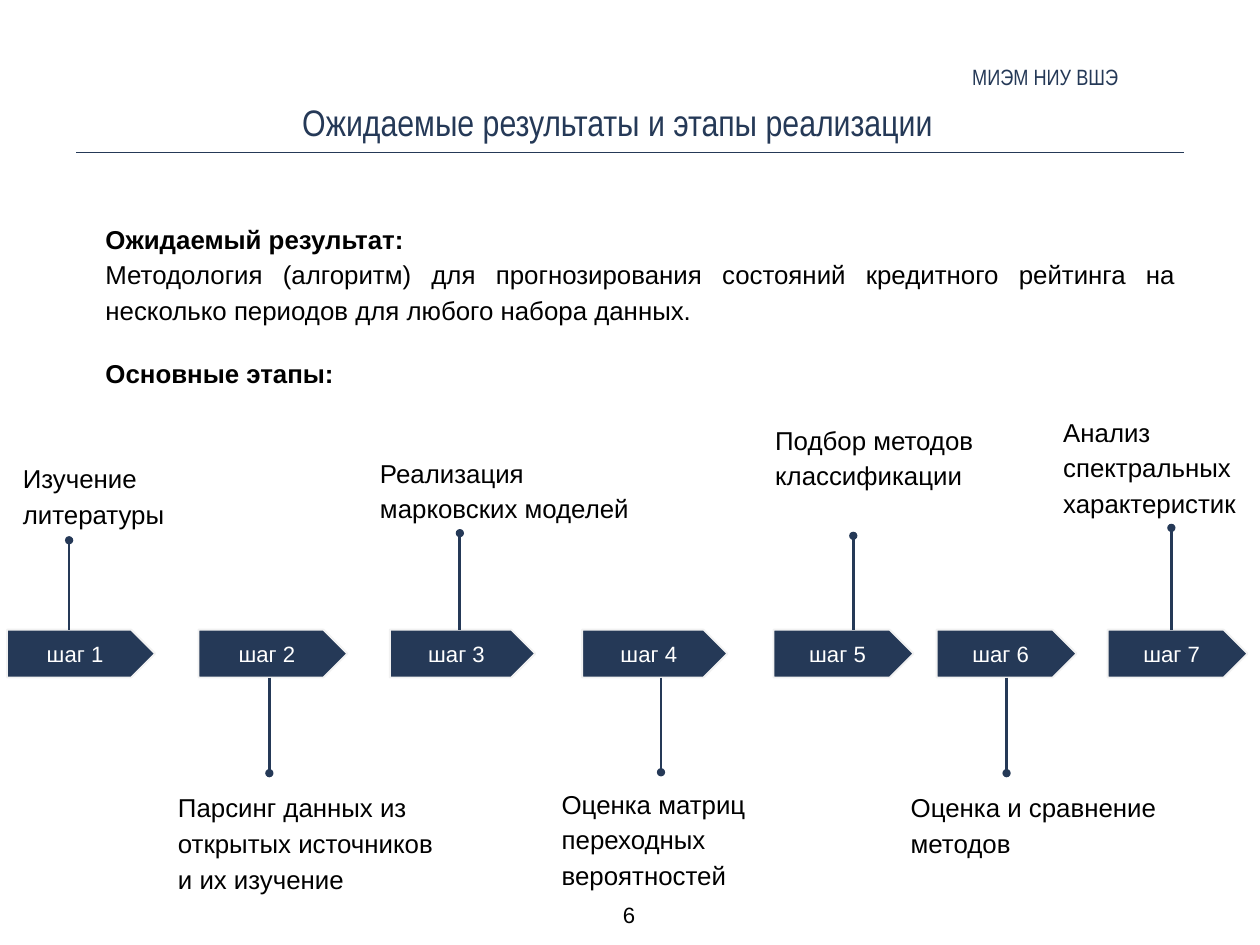
from lxml import etree
from pptx import Presentation
from pptx import util as u
from pptx.dml.color import RGBColor
from pptx.enum import shapes, text
from pptx.oxml import ns

COLORS = {"navy": "253957", "black": "000000", "white": "FFFFFF", "edge": "F2F2F2"}
TOP, HIGH = 7.11, 0.54
ALIGN, ANCHOR = text.PP_ALIGN, text.MSO_ANCHOR

# arrow left, arrow width, stem x, dot y, label (left, top, width, height), label
STEPS = [
    (0.08, 1.67, 0.78, 6.1, (0.16, 5.07, 2.67, 1.01), "Изучение литературы"),
    (2.24, 1.68, 3.04, 8.73, (1.91, 8.79, 3.28, 1.42),
     "Парсинг данных из открытых источников и их изучение"),
    (4.4, 1.64, 5.19, 6.02, (4.19, 5.01, 3.28, 1.01), "Реализация марковских моделей"),
    (6.57, 1.64, 7.46, 8.72, (6.24, 8.75, 3.28, 1.42),
     "Оценка матриц переходных вероятностей"),
    (8.73, 1.58, 9.63, 6.05, (8.65, 4.64, 3.06, 1.01), "Подбор методов классификации"),
    (10.57, 1.58, 11.36, 8.73, (10.18, 8.79, 3.28, 0.96), "Оценка и сравнение методов"),
    (12.5, 1.58, 13.22, 5.96, (11.9, 4.55, 2.32, 1.29),
     "Анализ спектральных характеристик"),
]


def color(name):
    return RGBColor.from_string(COLORS[name])


def place(item, box):
    item.left, item.top, item.width, item.height = map(u.Inches, box)


def write(item, words, size, tint="black", face="Arial", align=ALIGN.LEFT,
          anchor=ANCHOR.TOP, inset=0.1, space=1.0):
    frame = item.text_frame
    frame.text = words
    frame.word_wrap = True
    frame.auto_size = text.MSO_AUTO_SIZE.NONE
    frame.vertical_anchor = anchor
    frame.margin_left = frame.margin_right = u.Inches(inset)
    frame.margin_top = frame.margin_bottom = u.Inches(inset)
    for line in frame.paragraphs:
        line.alignment = align
        line.line_spacing = space
        line.space_before = u.Pt(0)
        for run in line.runs:
            run.font.size = u.Pt(size)
            run.font.name = face
            run.font.color.rgb = color(tint)


def add_text(slide, box, words, size, **style):
    item = slide.shapes.add_textbox(*map(u.Inches, box))
    write(item, words, size, **style)


def add_line(slide, start, end, width, dot=False):
    line = slide.shapes.add_connector(
        shapes.MSO_CONNECTOR.STRAIGHT, *map(u.Inches, start + end))
    line.line.color.rgb = color("navy")
    line.line.width = u.Pt(width)
    if dot:
        etree.SubElement(line.line._get_or_add_ln(), ns.qn("a:tailEnd"), type="oval")
    etree.SubElement(line._element.spPr, ns.qn("a:effectLst"))


def add_arrow(slide, left, width, words):
    arrow = slide.shapes.add_shape(
        shapes.MSO_SHAPE.PENTAGON, *map(u.Inches, (left, TOP, width, HIGH)))
    arrow.shadow.inherit = False
    arrow.fill.solid()
    arrow.fill.fore_color.rgb = color("navy")
    arrow.line.color.rgb = color("edge")
    arrow.line.width = u.Pt(1.5)
    write(arrow, words, 18, tint="white", align=ALIGN.CENTER, anchor=ANCHOR.MIDDLE)


def fill_body(body):
    place(body, (0.59, 2.37, 12.77, 2.03))
    write(body, "Ожидаемый результат:\n"
          "Методология (алгоритм) для прогнозирования состояний кредитного рейтинга "
          "на несколько периодов для любого набора данных.\n"
          "Основные этапы:", 21, align=ALIGN.JUSTIFY, space=1.15)
    lines = body.text_frame.paragraphs
    for line in lines:
        props = line._p.get_or_add_pPr()
        props.set("marL", str(u.Inches(0.5)))
        props.set("indent", "0")
        etree.SubElement(props, ns.qn("a:buNone"))
    for head in (lines[0], lines[2]):
        head.runs[0].font.bold = True
    lines[2].space_before = u.Pt(22)


def main():
    """Build the slide of expected results and project steps."""
    deck = Presentation()
    deck.slide_width, deck.slide_height = u.Inches(14.22), u.Inches(10.67)
    slide = deck.slides.add_slide(deck.slide_layouts[1])
    title, body = slide.placeholders
    place(title, (0.72, 1.07, 12.5, 0.75))
    write(title, "Ожидаемые результаты и этапы реализации", 30, tint="navy",
          face="Arial Narrow", align=ALIGN.CENTER, inset=0.06)
    fill_body(body)
    add_line(slide, (0.86, 1.72), (13.36, 1.72), 1)
    add_text(slide, (3.12, 0.66, 9.56, 0.42), "МИЭМ НИУ ВШЭ", 18, tint="navy",
             face="Arial Narrow", align=ALIGN.RIGHT, anchor=ANCHOR.MIDDLE, inset=0.06)
    add_text(slide, (6.9, 10.12, 0.4, 0.42), "6", 18, align=ALIGN.CENTER, inset=0.06)
    for count, (left, width, stem, dot, box, label) in enumerate(STEPS, 1):
        add_arrow(slide, left, width, f"шаг {count}")
        edge = TOP if dot < TOP else TOP + HIGH
        add_line(slide, (stem, edge), (stem, dot), 2.25, dot=True)
        add_text(slide, box, label, 21, space=1.15)
    deck.save("out.pptx")


if __name__ == "__main__":
    main()
